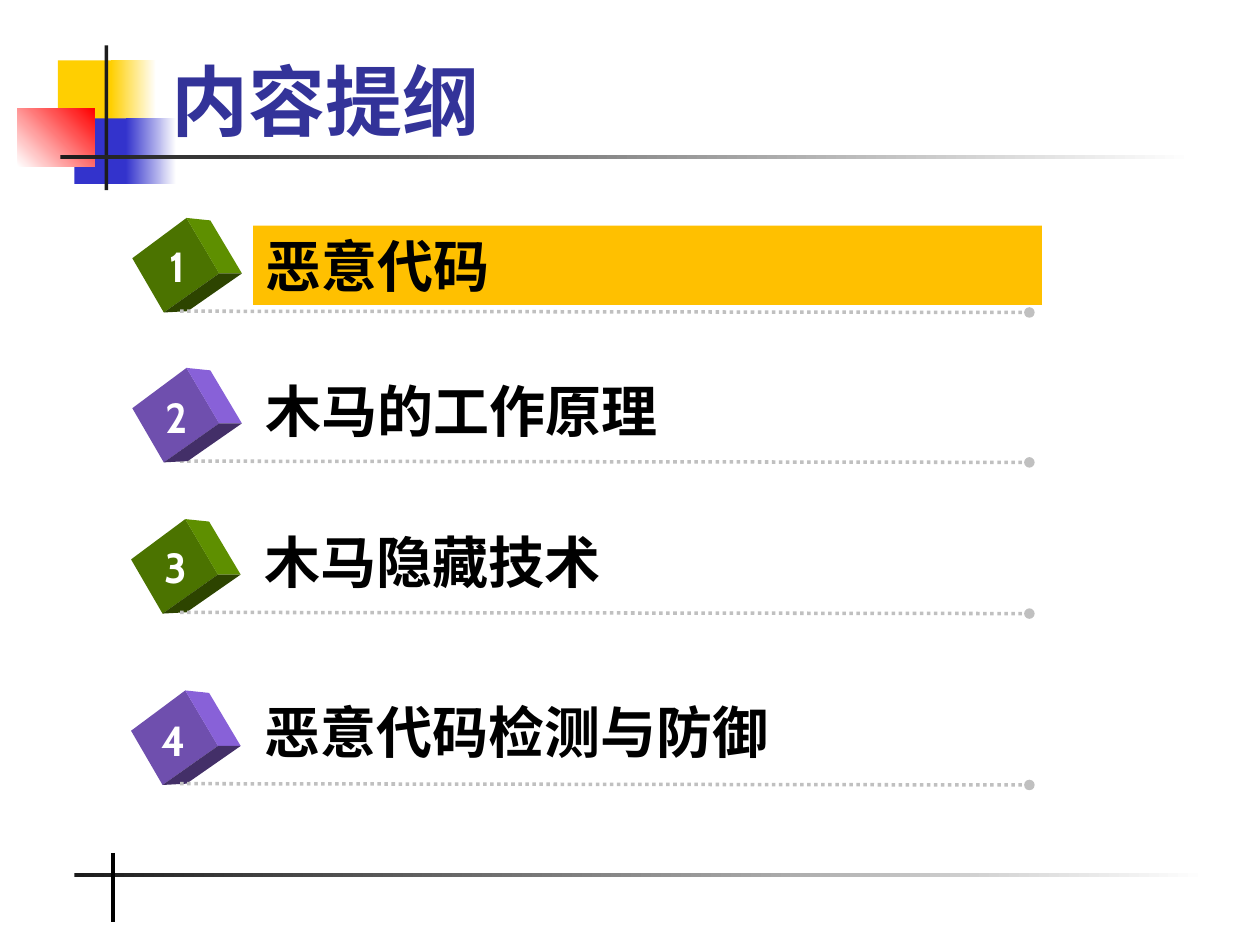
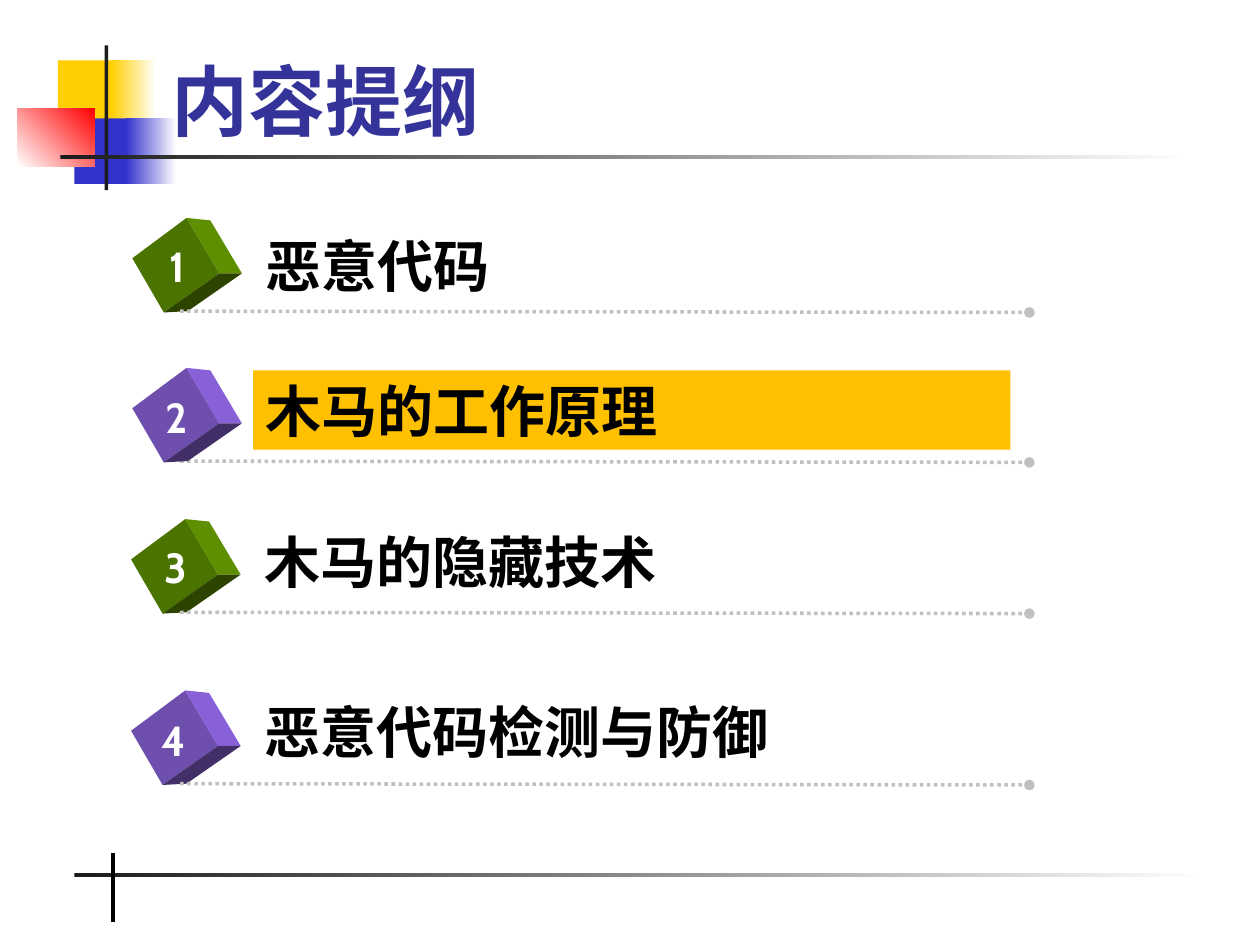
from lxml import etree
from pptx import Presentation
from pptx.dml.color import RGBColor
from pptx.enum import dml, shapes, text
from pptx.oxml.ns import qn
from pptx.util import Inches, Pt

HUES = {
    "gold": "FFCF01", "blue": "3333CC", "red": "FF0000", "white": "FFFFFF",
    "ink": "1C1C1C", "black": "000000", "title": "333399", "dots": "C0C0C0",
    "mark": "FFC000",
}
CUBES = [
    {"front": "4B7300", "side": "5E8F00", "base": "2D4400"},
    {"front": "6F4FAE", "side": "8861D8", "base": "432F68"},
]
FACES = {
    "front": [(0, 0.32), (0.43, 0), (0.69, 0.44), (0.25, 0.75)],
    "side": [(0.43, 0), (0.62, 0.02), (0.87, 0.44), (0.69, 0.44)],
    "base": [(0.69, 0.44), (0.87, 0.44), (0.44, 0.74), (0.25, 0.75)],
}
ROWS = [
    {"box": (1.05, 1.73, 7.22), "label": 0.06, "digit": (0.16, 0.13)},
    {"box": (1.05, 2.92, 6.97), "label": 0.02, "digit": (0.16, 0.14), "under": True},
    {"box": (1.04, 4.12, 7.13), "label": 0.02, "digit": (0.16, 0.13)},
    {"box": (1.04, 5.48, 7.1), "label": 0.01, "digit": (0.14, 0.14)},
]
AGENDAS = [
    (1, ["恶意代码", "木马的工作原理", "木马隐藏技术", "恶意代码检测与防御"]),
    (2, ["恶意代码", "木马的工作原理", "木马的隐藏技术", "恶意代码检测与防御"]),
]


def rgb(code):
    return RGBColor.from_string(code)


def write(shape, words, size, hue, font="Cabin", align=text.PP_ALIGN.LEFT,
          anchor=text.MSO_ANCHOR.TOP, wrap=True):
    frame = shape.text_frame
    frame.word_wrap = wrap
    frame.vertical_anchor = anchor
    frame.text = words
    para = frame.paragraphs[0]
    para.alignment = align
    para.font.name = font
    para.font.size = Pt(size)
    para.font.bold = True
    para.font.color.rgb = rgb(HUES[hue])


def paint(shape, code):
    shape.shadow.inherit = False
    shape.line.fill.background()
    shape.fill.solid()
    shape.fill.fore_color.rgb = rgb(code)


def block(slide, box, hue, fade=None, angle=0):
    shape = slide.shapes.add_shape(shapes.MSO_SHAPE.RECTANGLE, *map(Inches, box))
    paint(shape, HUES[hue])
    if fade:
        shape.fill.gradient()
        shape.fill.gradient_angle = angle
        for stop, name in zip(shape.fill.gradient_stops, (hue, fade)):
            stop.color.rgb = rgb(HUES[name])
    return shape


def rule(slide, start, end, hue, width, dotted=False):
    line = slide.shapes.add_connector(
        shapes.MSO_CONNECTOR.STRAIGHT, *map(Inches, start + end))
    line.line.color.rgb = rgb(HUES[hue])
    line.line.width = Pt(width)
    etree.SubElement(line.element.spPr, qn("a:effectLst"))
    if dotted:
        line.line.dash_style = dml.MSO_LINE.ROUND_DOT
        tail = etree.SubElement(line.element.spPr.find(qn("a:ln")), qn("a:tailEnd"))
        tail.set("type", "oval")


def header(slide, x, y, words):
    block(slide, (x + 0.32, y + 0.12, 0.48, 0.52), "gold")
    block(slide, (x + 0.74, y + 0.12, 0.36, 0.52), "gold", "white")
    block(slide, (x + 0.45, y + 0.58, 0.46, 0.52), "blue")
    block(slide, (x + 0.86, y + 0.58, 0.4, 0.52), "blue", "white")
    block(slide, (x, y + 0.5, 0.61, 0.46), "white", "red", 45)
    block(slide, (x + 0.69, y, 0.03, 1.15), "ink")
    block(slide, (x + 0.34, y + 0.87, 9, 0.03), "ink", "white")
    title = slide.shapes.title
    title.left, title.top = Inches(x + 1.12), Inches(y - 0.2)
    title.width, title.height = Inches(8.52), Inches(1.05)
    write(title, words, 44, "title", "Times New Roman", anchor=text.MSO_ANCHOR.BOTTOM)
    title.element.getparent().append(title.element)


def footer(slide, x, y):
    block(slide, (x, y + 0.16, 9, 0.03), "ink", "white")
    rule(slide, (x + 0.31, y), (x + 0.31, y + 0.55), "black", 2.25)


def cube(slide, x, y, tones):
    for face, points in FACES.items():
        spots = [(Inches(x + dx), Inches(y + dy)) for dx, dy in points]
        path = slide.shapes.build_freeform(*spots[0])
        path.add_line_segments(spots[1:])
        paint(path.convert_to_shape(), tones[face])


def item(slide, row, num, words, active):
    x, y, width = row["box"]
    draw = [
        lambda: cube(slide, x, y, CUBES[(num - 1) % 2]),
        lambda: rule(slide, (1.43, y + 0.74), (8.17, y + 0.75), "dots", 2, True),
    ]
    for step in reversed(draw) if row.get("under") else draw:
        step()
    dx, dy = row["digit"]
    digit = slide.shapes.add_textbox(*map(Inches, (x + dx, y + dy, 0.39, 0.5)))
    write(digit, str(num), 24, "white", align=text.PP_ALIGN.CENTER, wrap=False)
    box = (x + 0.96, y + row["label"], width - 0.96, 0.63)
    if active:
        label = block(slide, box, "mark")
    else:
        label = slide.shapes.add_textbox(*map(Inches, box))
    write(label, words, 32, "black")


def agenda(deck, active, items):
    slide = deck.slides.add_slide(deck.slide_layouts[5])
    header(slide, 0.14, 0.36, "内容提纲")
    footer(slide, 0.59, 6.77)
    for num, (row, words) in enumerate(zip(ROWS, items), 1):
        item(slide, row, num, words, num == active)


def main():
    deck = Presentation()
    deck.slide_width, deck.slide_height = Inches(10), Inches(7.5)
    for active, items in AGENDAS:
        agenda(deck, active, items)
    deck.save("out.pptx")


if __name__ == "__main__":
    main()
